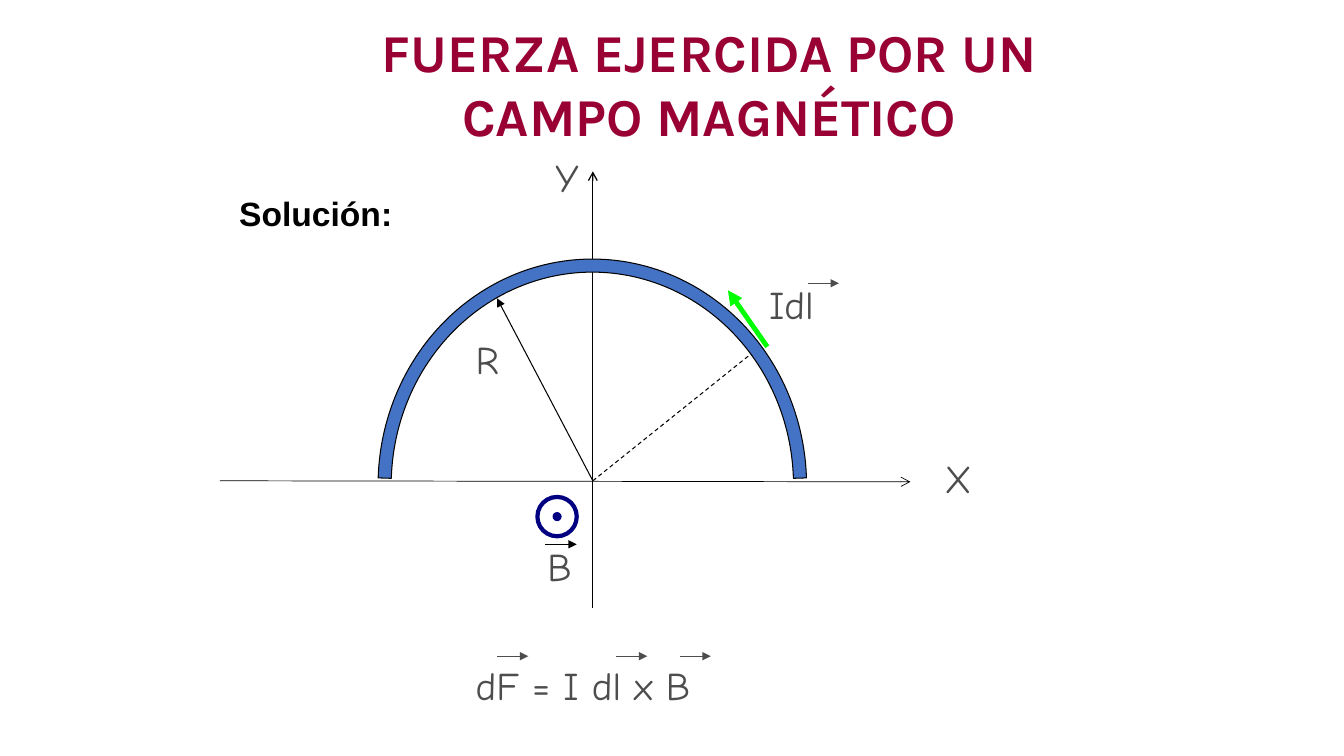
from lxml.etree import SubElement
from pptx import Presentation
from pptx.dml.color import RGBColor
from pptx.enum.dml import MSO_LINE
from pptx.enum.shapes import MSO_CONNECTOR, MSO_SHAPE
from pptx.enum.text import MSO_ANCHOR, MSO_AUTO_SIZE, PP_ALIGN
from pptx.oxml.ns import qn
from pptx.util import Inches, Pt

COLORS = {
    "title": "990033",
    "black": "000000",
    "label": "4D4D4D",
    "wire": "4472C4",
    "current": "00FF00",
    "field": "000080",
}


def color(name):
    return RGBColor.from_string(COLORS[name])


def place(shape, left, top, width, height):
    shape.left, shape.top = Inches(left), Inches(top)
    shape.width, shape.height = Inches(width), Inches(height)


def style_text(paragraph, font_name, size, color_name, bold=False):
    font = paragraph.font
    font.name, font.size, font.bold = font_name, Pt(size), bold
    font.color.rgb = color(color_name)


def add_line(slide, start, end, color_name="black", width=0.75, head=None, dashed=False):
    points = [Inches(value) for value in (*start, *end)]
    connector = slide.shapes.add_connector(MSO_CONNECTOR.STRAIGHT, *points)
    line = connector.line
    line.color.rgb = color(color_name)
    line.width = Pt(width)
    if dashed:
        line.dash_style = MSO_LINE.DASH
    properties = connector._element.spPr
    if head:
        SubElement(properties.find(qn("a:ln")), qn("a:tailEnd"), type=head)
    SubElement(properties, qn("a:effectLst"))


def add_vector_mark(slide, left, top, color_name="label"):
    add_line(slide, (left, top), (left + 0.31, top), color_name, head="triangle")


def add_label(slide, text, left, top, width=0.86, height=0.55):
    box = slide.shapes.add_textbox(*map(Inches, (left, top, width, height)))
    box.text_frame.word_wrap = True
    paragraph = box.text_frame.paragraphs[0]
    paragraph.text = text
    paragraph.space_before = Pt(6)
    style_text(paragraph, "Comic Neue", 28, "label")


def add_outlined_shape(slide, preset, box, line_color, width, fill=None):
    shape = slide.shapes.add_shape(preset, *map(Inches, box))
    shape.shadow.inherit = False
    shape.line.color.rgb = color(line_color)
    shape.line.width = Pt(width)
    if fill:
        shape.fill.solid()
        shape.fill.fore_color.rgb = color(fill)
    else:
        shape.fill.background()
    return shape


def fill_title(slide, left, top, width, height):
    title = slide.shapes.title
    place(title, left, top, width, height)
    frame = title.text_frame
    frame.word_wrap = True
    frame.auto_size = MSO_AUTO_SIZE.NONE
    frame.vertical_anchor = MSO_ANCHOR.BOTTOM
    frame.margin_left = frame.margin_right = Inches(0.05)
    frame.margin_top = frame.margin_bottom = 0
    paragraph = frame.paragraphs[0]
    paragraph.text = "FUERZA EJERCIDA POR UN CAMPO MAGNÉTICO"
    paragraph.alignment = PP_ALIGN.CENTER
    style_text(paragraph, "Karla", 38, "title", bold=True)


def fill_body(slide, left, top, width, height):
    body = slide.placeholders[1]
    place(body, left, top, width, height)
    body.text_frame.auto_size = MSO_AUTO_SIZE.NONE
    paragraph = body.text_frame.paragraphs[0]
    paragraph.text = " Solución:"
    paragraph.space_before = Pt(6)
    style_text(paragraph, "Arial", 24, "black", bold=True)
    properties = paragraph._p.get_or_add_pPr()
    properties.set("marL", str(Inches(0.38)))
    properties.set("indent", str(-Inches(0.38)))
    properties.insert_element_before(
        properties.makeelement(qn("a:buNone")), "a:tabLst", "a:defRPr", "a:extLst")


def draw_axes(slide, left, top, width, height, origin):
    x, y = origin
    add_line(slide, (left, y), (left + width, y + 0.01), width=0.5, head="arrow")
    add_line(slide, (x, top + height), (x, top), width=0.9, head="arrow")
    add_label(slide, "Y", x - 0.47, top - 0.23, 0.63)
    add_label(slide, "X", left + width + 0.24, y - 0.31)


def draw_wire(slide, left, top, width, height, thickness=0.13):
    """Half ring that fills the upper half of the ellipse in the given box."""
    wire = add_outlined_shape(slide, MSO_SHAPE.BLOCK_ARC, (left, top, width, height),
                              "black", 0.75, fill="wire")
    # Angles count in 1/60000 degree, adjustments in 1/100000
    wire.adjustments[0] = 182 * 0.6
    wire.adjustments[1] = 358 * 0.6
    wire.adjustments[2] = thickness / min(width, height)


def draw_radius_and_element(slide, origin):
    x, y = origin
    # Radius
    add_line(slide, origin, (x - 0.95, y - 1.81), head="triangle")
    add_label(slide, "R", x - 1.26, y - 1.49, 0.55, 0.63)
    # Current element
    add_line(slide, origin, (x + 1.57, y - 1.26), dashed=True)
    add_line(slide, (x + 1.73, y - 1.33), (x + 1.34, y - 1.89),
             "current", 3.5, "triangle")
    add_label(slide, "Idl", x + 1.65, y - 2.04)
    add_vector_mark(slide, x + 2.13, y - 1.96)


def draw_field(slide, left, top, diameter, dot=0.08):
    inset = (diameter - dot) / 2
    add_outlined_shape(slide, MSO_SHAPE.OVAL, (left, top, diameter, diameter), "field", 3)
    add_outlined_shape(slide, MSO_SHAPE.OVAL, (left + inset, top + inset, dot, dot),
                       "field", 0.75, fill="field")
    add_vector_mark(slide, left + 0.08, top + 0.47, "black")
    add_label(slide, "B", left, top + 0.4)


def draw_formula(slide, left, top, width, height):
    add_label(slide, "dF = I dl x B", left, top, width, height)
    for offset in (0.31, 1.49, 2.12):
        add_vector_mark(slide, left + offset, top)


def main():
    presentation = Presentation()
    presentation.slide_width = Inches(13.33)
    presentation.slide_height = Inches(7.5)
    slide = presentation.slides.add_slide(presentation.slide_layouts[1])
    origin = (5.88, 4.77)

    fill_title(slide, 2.92, 0.28, 8.23, 1.18)
    fill_body(slide, 2.18, 1.86, 7.56, 0.79)
    draw_axes(slide, 2.18, 1.7, 6.85, 4.33, origin)
    draw_wire(slide, 3.75, 2.57, 4.25, 4.49)
    draw_radius_and_element(slide, origin)
    draw_field(slide, 5.33, 4.93, 0.39)
    draw_formula(slide, 4.62, 6.51, 4.02, 0.87)
    presentation.save("out.pptx")


if __name__ == "__main__":
    main()
